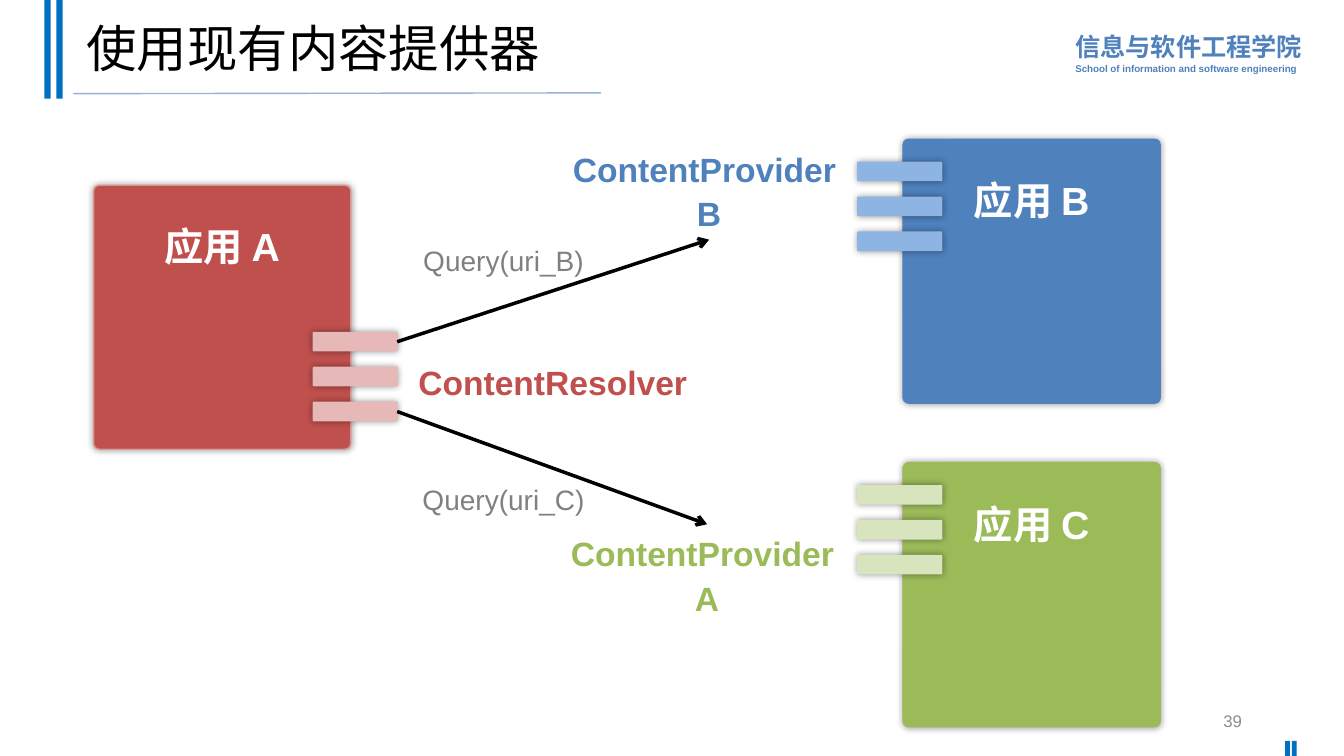
from lxml import etree
from pptx import Presentation
from pptx import util as u
from pptx.dml.color import RGBColor
from pptx.enum import shapes, text
from pptx.oxml.ns import qn


def rgb(value):
    return RGBColor.from_string(value)


class Board:
    """Draws styled elements on one slide, with lengths in centimetres."""

    font = "Arial"
    blue, red, green = "4F81BD", "C0504D", "9BBB59"
    bar_blue, black, white, grey = "0070C0", "000000", "FFFFFF", "808080"

    def __init__(self, s):
        self.s = s

    def set_text(self, sp, lines, sizes, color, bold=False, align=text.PP_ALIGN.CENTER,
                 spacing=1.1, anchor=text.MSO_ANCHOR.TOP):
        tf = sp.text_frame
        tf.word_wrap = True
        tf.vertical_anchor = anchor
        for i, (line, size) in enumerate(zip(lines, sizes)):
            p = tf.paragraphs[0] if i == 0 else tf.add_paragraph()
            p.text = line
            p.alignment = align
            p.line_spacing = spacing
            p.font.name = self.font
            p.font.size = u.Pt(size)
            p.font.bold = bold
            p.font.color.rgb = rgb(color)
        return sp

    def label(self, x, y, w, h, lines, sizes, color, **style):
        sp = self.s.shapes.add_textbox(u.Cm(x), u.Cm(y), u.Cm(w), u.Cm(h))
        return self.set_text(sp, lines, sizes, color, **style)

    def block(self, kind, x, y, w, h, fill):
        sp = self.s.shapes.add_shape(kind, u.Cm(x), u.Cm(y), u.Cm(w), u.Cm(h))
        sp.shadow.inherit = False
        sp.fill.solid()
        sp.fill.fore_color.rgb = rgb(fill)
        sp.line.fill.background()
        return sp

    def stripe(self, x, y, w, h):
        return self.block(shapes.MSO_SHAPE.RECTANGLE, x, y, w, h, self.bar_blue)

    def card(self, x, y, w, h, fill, edge):
        sp = self.block(shapes.MSO_SHAPE.ROUNDED_RECTANGLE, x, y, w, h, fill)
        sp.adjustments[0] = 0.022
        sp.line.color.rgb = rgb(edge)
        sp.line.width = u.Pt(1)
        effects = sp._element.spPr.find(qn("a:effectLst"))
        glow = etree.SubElement(effects, qn("a:outerShdw"), blurRad=str(u.Pt(5)),
                                dist="0", dir="0", rotWithShape="0")
        tint = etree.SubElement(glow, qn("a:srgbClr"), val=self.black)
        etree.SubElement(tint, qn("a:alpha"), val="40000")
        return sp

    def app(self, x, y, name, fill, edge):
        sp = self.card(x, y, 6.48, 6.65, fill, edge)
        self.set_text(sp, [name], [28], self.white, bold=True, spacing=1.0)
        sp.text_frame.margin_top = u.Cm(0.9)

    def bars(self, x, y, fill):
        return [self.card(x, y + i * 0.88, 2.11, 0.46, fill, fill) for i in range(3)]

    def line(self, x1, y1, x2, y2, color, width):
        c = self.s.shapes.add_connector(shapes.MSO_CONNECTOR.STRAIGHT,
                                        u.Cm(x1), u.Cm(y1), u.Cm(x2), u.Cm(y2))
        c.line.color.rgb = rgb(color)
        c.line.width = u.Pt(width)
        etree.SubElement(c._element.spPr, qn("a:effectLst"))
        return c

    def arrow(self, start, end, side):
        c = self.line(0, 0, 1, 1, self.black, 2.5)
        c.begin_connect(start, 3)
        c.end_connect(end, side)
        ln = c._element.spPr.find(qn("a:ln"))
        etree.SubElement(ln, qn("a:tailEnd"), type="arrow")


def main():
    prs = Presentation()
    prs.slide_width, prs.slide_height = u.Cm(33.87), u.Cm(19.05)
    b = Board(prs.slides.add_slide(prs.slide_layouts[6]))
    left, right = text.PP_ALIGN.LEFT, text.PP_ALIGN.RIGHT
    middle = text.MSO_ANCHOR.MIDDLE

    b.label(26.85, 0.58, 6.22, 1.42,
            ["信息与软件工程学院", "School of information and software engineering"],
            [18, 7], b.blue, bold=True, align=left)
    for x in (1.12, 1.42):
        b.stripe(x, 0, 0.16, 2.49)
    for x in (32.39, 32.56):
        b.stripe(x, 18.67, 0.12, 0.38)
    b.line(1.85, 2.36, 15.14, 2.34, "95B3D7", 1)
    b.label(1.93, 0.18, 29.21, 2.24, ["使用现有内容提供器"], [36], b.black,
            align=left, spacing=0.9, anchor=middle)
    b.label(23.93, 17.65, 7.62, 1.02, ["39"], [12], "8C8C8C",
            align=right, spacing=1.0, anchor=middle)

    b.app(22.76, 3.51, "应用 B", b.blue, b.blue)
    b.app(22.76, 11.66, "应用 C", b.green, b.green)
    b.app(2.36, 4.67, "应用 A", b.red, "D99694")
    resolver = b.bars(7.9, 8.38, "E6B9B8")
    b.bars(21.62, 4.09, "8EB4E3")
    b.bars(21.62, 12.24, "D7E4BD")

    b.label(10.26, 8.89, 7.34, 1.3, ["ContentResolver"], [24], b.red, bold=True)
    provider_b = b.label(14.02, 3.53, 7.7, 2.51, ["ContentProvider ", "B"],
                         [24, 24], b.blue, bold=True)
    provider_a = b.label(13.97, 13.21, 7.7, 2.51, ["ContentProvider ", "A"],
                         [24, 24], b.green, bold=True)
    b.arrow(resolver[0], provider_b, 2)
    b.arrow(resolver[2], provider_a, 0)
    for y, query in ((11.94, "Query(uri_C)"), (5.92, "Query(uri_B)")):
        b.label(10.01, y, 5.36, 1.19, [query], [20], b.grey)

    prs.save("out.pptx")


if __name__ == "__main__":
    main()
